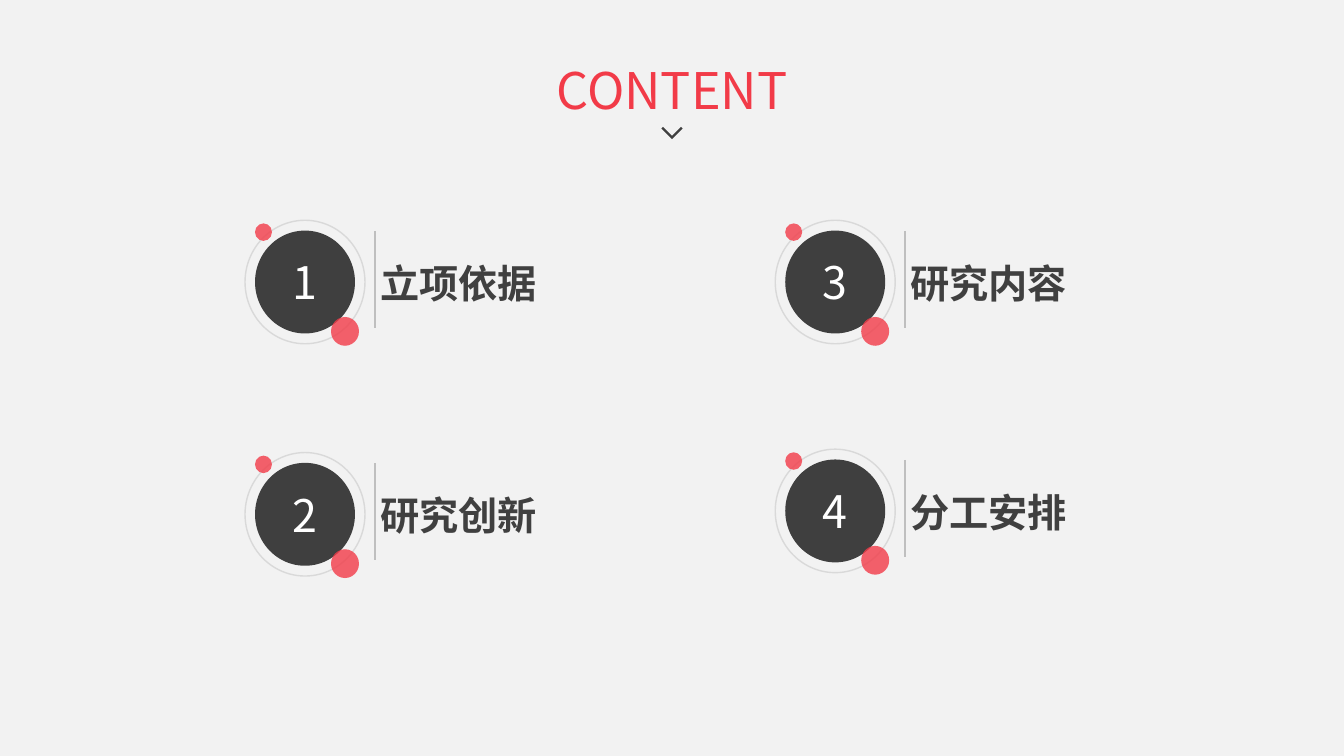
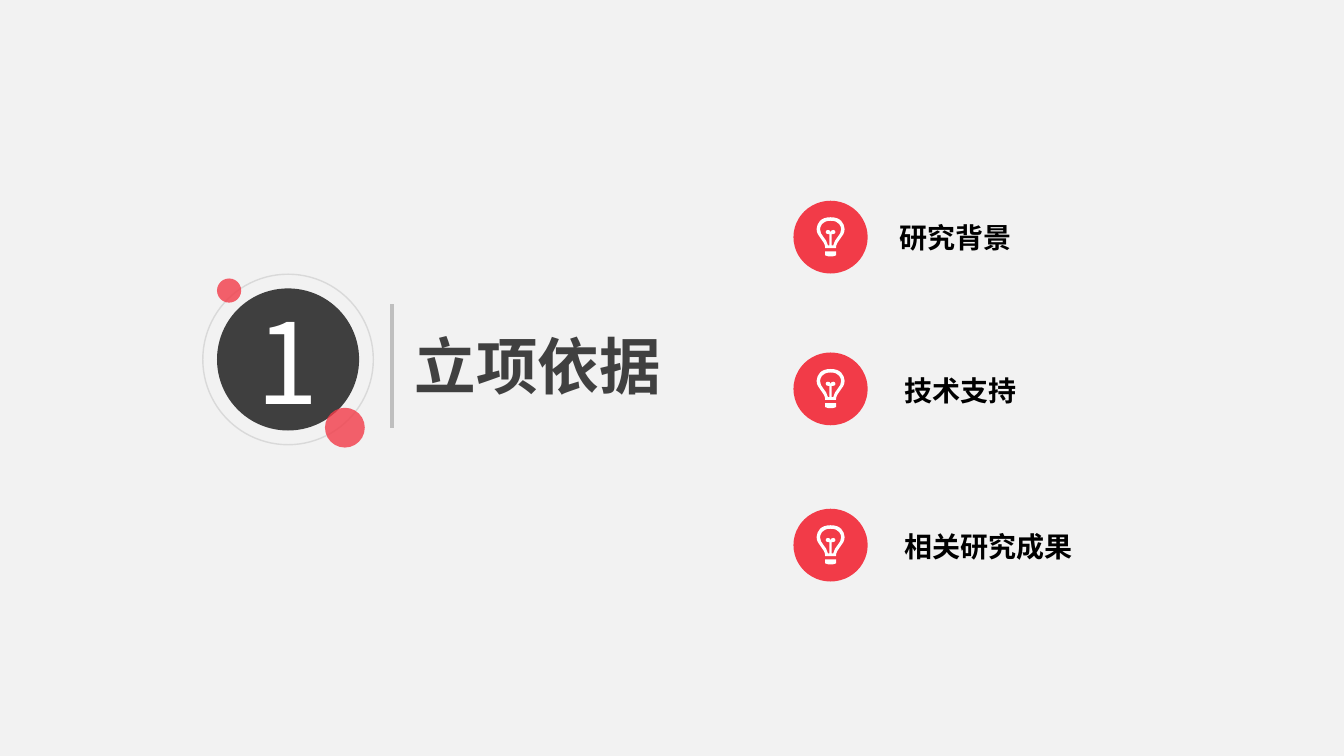
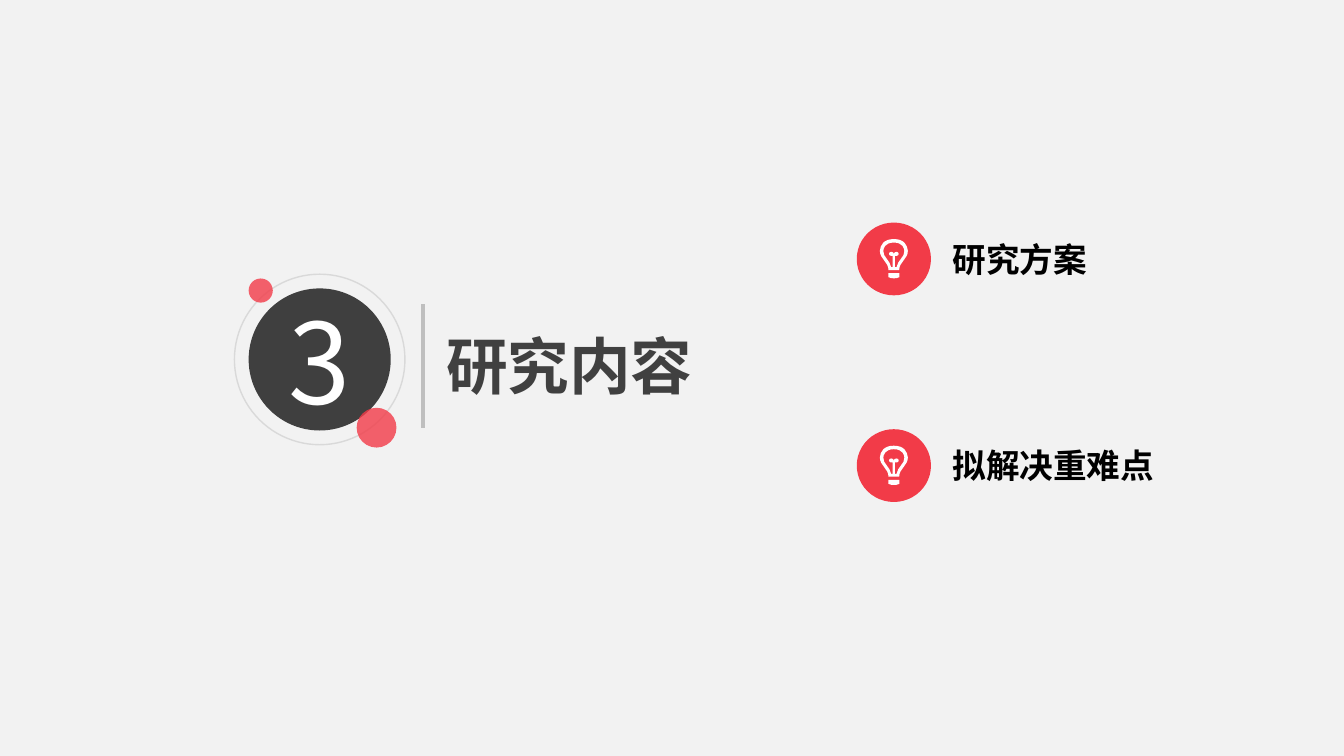
from dataclasses import dataclass

from lxml import etree
from pptx import Presentation
from pptx.dml.color import RGBColor
from pptx.enum.shapes import MSO_CONNECTOR, MSO_SHAPE
from pptx.enum.text import MSO_ANCHOR, MSO_AUTO_SIZE, PP_ALIGN
from pptx.oxml.ns import qn
from pptx.util import Pt

OVAL = MSO_SHAPE.OVAL
STRAIGHT = MSO_CONNECTOR.STRAIGHT
TOP, MIDDLE = MSO_ANCHOR.TOP, MSO_ANCHOR.MIDDLE
LEFT, CENTER, JUSTIFY = PP_ALIGN.LEFT, PP_ALIGN.CENTER, PP_ALIGN.JUSTIFY
GROW = MSO_AUTO_SIZE.SHAPE_TO_FIT_TEXT


@dataclass(frozen=True)
class Theme:
    font: str = "Noto Sans CJK SC"
    background: str = "F2F2F2"
    accent: str = "F23B48"
    dark: str = "3F3F3F"
    heading: str = "404040"
    ring: str = "D9D9D9"
    rule: str = "BFBFBF"
    white: str = "FFFFFF"
    black: str = "000000"
    page_title: int = 36
    entry: int = 28
    entry_number: int = 32
    section_title: int = 44
    section_number: int = 80
    dot_opacity: int = 80
    inset: float = 3.6


THEME = Theme()

CONTENT_ENTRIES = [
    ("1", "立项依据", 182.16, 164.7),
    ("2", "研究创新", 182.16, 330.6),
    ("3", "研究内容", 560.88, 164.7),
    ("4", "分工安排", 560.88, 328.2),
]
CHEVRON = [
    [(3.7, -5.4), (5.4, -5.4)],
    [(5.4, -5.4), (5.4, 5.4)],
    [(5.4, 5.4), (-5.4, 5.4)],
    [(-5.4, 5.4), (-5.4, 3.7)],
    [(-5.4, 3.7), (3.7, 3.7)],
]
BULB_OUTER = [
    [(0, -14.2), (7.2, -14.2), (9.6, -10.1), (10, -5.8)],
    [(10, -5.8), (10, 0), (3.8, 2.2), (3.8, 7.9)],
]
BULB_INNER = [
    [(0, -11.7), (6.5, -11.7), (7.5, -7.4), (7.5, -5.6)],
    [(7.5, -5.6), (7.7, -3.5), (6.5, -2), (5, 0)],
    [(5, 0), (3.7, 1.5), (2.4, 3.5), (1.9, 5.9)],
    [(1.9, 5.9), (0.8, 5.9)],
    [(0.8, 5.9), (0.8, -2.2)],
    [(0.8, -2.2), (1.9, -2.2)],
    [(1.9, -2.2), (2.8, -2.2), (3.5, -2.8), (3.5, -3.6)],
    [(3.5, -3.6), (3.5, -4.5), (2.8, -5.1), (1.9, -5.1)],
    [(1.9, -5.1), (0.8, -5.1), (0, -4.5), (0, -3.6)],
]
BULB_CAP = [
    [(0, 13.8), (1.5, 13.8), (2.7, 13.6), (3.9, 13)],
    [(3.9, 13), (3.9, 10.1)],
]


def color(value):
    return RGBColor.from_string(value)


def mirrored(half):
    end_x, end_y = half[-1][-1]
    bridge = [[(end_x, end_y), (-end_x, end_y)]] if end_x else []
    other_half = [[(-x, y) for x, y in reversed(segment)] for segment in reversed(half)]
    return half + bridge + other_half


def bend_segments(shape, segments):
    corners = list(shape._element.iter(qn("a:lnTo")))
    for segment in segments:
        used, corners = corners[:len(segment) - 1], corners[len(segment) - 1:]
        if len(used) == 3:
            curve = etree.Element(qn("a:cubicBezTo"))
            used[0].addprevious(curve)
            for corner in used:
                curve.append(corner[0])
                corner.getparent().remove(corner)


def add_outline(shapes, center_x, center_y, contours, fill):
    def place(point):
        return Pt(center_x + point[0]), Pt(center_y + point[1])

    builder = shapes.build_freeform(*place(contours[0][0][0]), scale=1.0)
    for index, contour in enumerate(contours):
        if index:
            builder.move_to(*place(contour[0][0]))
        points = [place(point) for segment in contour for point in segment[1:]]
        builder.add_line_segments(points, close=True)
    shape = builder.convert_to_shape()
    bend_segments(shape, [segment for contour in contours for segment in contour])
    shape.shadow.inherit = False
    shape.fill.solid()
    shape.fill.fore_color.rgb = color(fill)
    shape.line.fill.background()
    return shape


def add_oval(shapes, left, top, width, height, fill=None, line=None, opacity=100):
    shape = shapes.add_shape(OVAL, Pt(left), Pt(top), Pt(width), Pt(height))
    shape.shadow.inherit = False
    if fill:
        shape.fill.solid()
        shape.fill.fore_color.rgb = color(fill)
        if opacity < 100:
            fill_color = shape._element.spPr.find(".//" + qn("a:srgbClr"))
            etree.SubElement(fill_color, qn("a:alpha"), val=str(opacity * 1000))
    else:
        shape.fill.background()
    if line:
        shape.line.color.rgb = color(line)
        shape.line.width = Pt(1)
    else:
        shape.line.fill.background()


def add_text(shapes, left, top, width, height, text, size, fill,
             bold=False, align=LEFT, anchor=TOP):
    frame = shapes.add_textbox(Pt(left), Pt(top), Pt(width), Pt(height)).text_frame
    frame.word_wrap = True
    frame.auto_size = GROW
    frame.vertical_anchor = anchor
    frame.margin_left = frame.margin_right = Pt(THEME.inset)
    frame.margin_top = frame.margin_bottom = Pt(THEME.inset)
    paragraph = frame.paragraphs[0]
    paragraph.alignment = align
    run = paragraph.add_run()
    run.text = text
    run.font.name = THEME.font
    run.font.size = Pt(size)
    run.font.bold = bold
    run.font.color.rgb = color(fill)
    etree.SubElement(run._r.get_or_add_rPr(), qn("a:ea"), typeface=THEME.font)


def add_vertical_rule(shapes, x, top, height, weight):
    rule = shapes.add_connector(STRAIGHT, Pt(x), Pt(top), Pt(x), Pt(top + height))
    rule.line.color.rgb = color(THEME.rule)
    rule.line.width = Pt(weight)
    etree.SubElement(rule._element.spPr, qn("a:effectLst"))


def add_number_badge(shapes, left, top, width, height, number, size, text_width, text_height):
    def part(x, y, scale, **style):
        add_oval(shapes, left + x * width, top + y * height, scale * width, scale * height, **style)

    part(0, 0, 1, fill=THEME.dark)
    add_text(shapes, left + (width - text_width) / 2, top + (height - text_height) / 2,
             text_width, text_height, number, size, THEME.white, align=CENTER, anchor=MIDDLE)
    part(-0.1, -0.1, 1.2, line=THEME.ring)
    for x, y, scale in [(0.76, 0.84, 0.28), (0, -0.07, 0.17)]:
        part(x, y, scale, fill=THEME.accent, opacity=THEME.dot_opacity)


def add_content_entry(slide, number, label, left, top):
    shapes = slide.shapes.add_group_shape().shapes
    add_number_badge(shapes, left, top, 71.4, 73.5, number, THEME.entry_number, 50.4, 46)
    add_text(shapes, left + 85.7, top + 16.9, 261.4, 41, label,
             THEME.entry, THEME.heading, bold=True, align=JUSTIFY)
    add_vertical_rule(shapes, left + 85.7, top + 0.2, 69.3, 1)


def add_topic(slide, left, top, label, label_left, label_top, size):
    width, height = 53, 52
    center_x, center_y = left + width / 2, top + height / 2
    shapes = slide.shapes.add_group_shape().shapes
    add_oval(shapes, left, top, width, height, fill=THEME.accent)
    bulb = [mirrored(BULB_OUTER), mirrored(BULB_INNER)]
    for contours in (bulb, [mirrored(BULB_CAP)]):
        add_outline(shapes, center_x, center_y, contours, THEME.white)
    add_text(shapes, label_left, label_top, 240, size * 1.2 + 2 * THEME.inset,
             label, size, THEME.black, bold=True)


def add_slide(presentation):
    slide = presentation.slides.add_slide(presentation.slide_layouts[6])
    slide.background.fill.solid()
    slide.background.fill.fore_color.rgb = color(THEME.background)
    return slide


def add_contents_slide(presentation):
    slide = add_slide(presentation)
    add_text(slide.shapes, 377, 39, 206, 50.4, "CONTENT", THEME.page_title, THEME.accent, align=CENTER)
    chevron = add_outline(slide.shapes, 480, 91.8, [CHEVRON], THEME.dark)
    chevron.rotation = 45
    for entry in CONTENT_ENTRIES:
        add_content_entry(slide, *entry)


def add_section_slide(presentation, number, title, left, topic_left, topic_size, topics):
    slide = add_slide(presentation)
    add_text(slide.shapes, left + 137.5, 231, 224, 60.5, title,
             THEME.section_title, THEME.heading, bold=True)
    add_vertical_rule(slide.shapes, left + 124.8, 217.2, 88.6, 3)
    badge = slide.shapes.add_group_shape().shapes
    add_number_badge(badge, left, 206, 101.5, 101.5, number, THEME.section_number, 72, 103)
    for label, top, label_left, label_top in topics:
        add_topic(slide, topic_left, top, label, label_left, label_top, topic_size)


def main():
    presentation = Presentation()
    presentation.slide_width = Pt(960)
    presentation.slide_height = Pt(540)
    add_contents_slide(presentation)
    add_section_slide(presentation, "1", "立项依据", 155, 566.8, 20, [
        ("技术支持", 251.8, 642.2, 263.2),
        ("研究背景", 143.4, 638.7, 154),
        ("相关研究成果", 363.4, 642.2, 374.8),
    ])
    add_section_slide(presentation, "3", "研究内容", 177.6, 612, 24, [
        ("研究方案", 159, 676.8, 167),
        ("拟解决重难点", 306.6, 676.8, 314.6),
    ])
    presentation.save("out.pptx")


if __name__ == "__main__":
    main()
